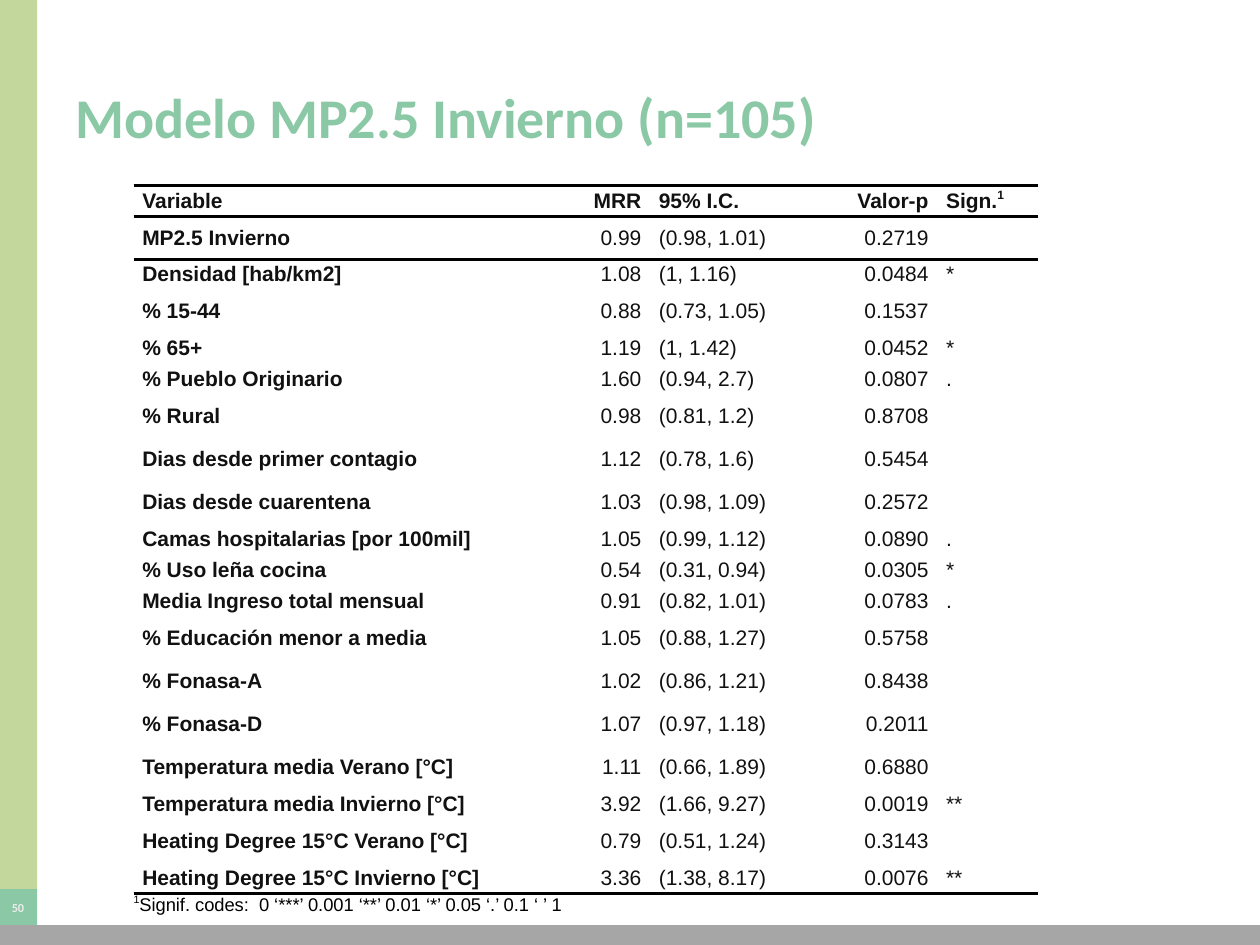
from pptx import Presentation
from pptx.dml.color import RGBColor
from pptx.enum.shapes import MSO_SHAPE
from pptx.enum.text import MSO_ANCHOR, PP_ALIGN
from pptx.oxml import parse_xml
from pptx.oxml.ns import nsdecls
from pptx.util import Inches, Pt

RECT = MSO_SHAPE.RECTANGLE
MID = MSO_ANCHOR.MIDDLE
LEFT, RIGHT, MAIN = PP_ALIGN.LEFT, PP_ALIGN.RIGHT, PP_ALIGN.CENTER
INK = {"lime": "C3D69B", "mint": "8BC8A6", "gray": "A6A6A6",
       "pale": "ECECEC", "text": "111111", "line": "000000"}

deck = Presentation()
deck.slide_width, deck.slide_height = Inches(10), Inches(7.5)
# One percent of the slide's width and height
W, H = deck.slide_width / 100, deck.slide_height / 100
slide = deck.slides.add_slide(deck.slide_layouts[6])


def write(para, text, size, ink, bold=False, face="Arial", lift=0):
    run = para.add_run()
    run.text = text
    font = run.font
    font.size, font.bold, font.name = Pt(size), bold, face
    font.color.rgb = RGBColor.from_string(INK[ink])
    if lift:
        font._element.set("baseline", str(lift * 1000))


def rule(cell, side):
    # Side is T or B; edges stand before the fill in the cell's properties
    edge = parse_xml(
        f'<a:ln{side} {nsdecls("a")} w="{Pt(2)}"><a:solidFill>'
        f'<a:srgbClr val="{INK["line"]}"/></a:solidFill></a:ln{side}>')
    fill = cell._tc.tcPr.find(".//{*}noFill")
    fill.addprevious(edge)


# Side bar, page number box and foot bar
for ink, x, y, wide, high in (("lime", 0, 0, 2.95, 94.1),
                              ("mint", -0.1, 94.1, 3.05, 3.9),
                              ("gray", -0.1, 97.9, 100.3, 2.1)):
    bar = slide.shapes.add_shape(RECT, int(x * W), int(y * H),
                                 int(wide * W), int(high * H))
    bar.shadow.inherit = False
    bar.fill.solid()
    bar.fill.fore_color.rgb = RGBColor.from_string(INK[ink])
    bar.line.fill.background()
    if ink == "mint":
        frame = bar.text_frame
        frame.margin_left = frame.margin_right = 0
        frame.vertical_anchor = MID
        frame.paragraphs[0].alignment = MAIN
        write(frame.paragraphs[0], "50", 7, "pale", True, "Calibri")

# Title
box = slide.shapes.add_textbox(int(5 * W), int(4 * H), int(90 * W), int(16.67 * H))
box.text_frame.word_wrap = True
box.text_frame.vertical_anchor = MID
write(box.text_frame.paragraphs[0], "Modelo MP2.5 Invierno (n=105)",
      32, "mint", True, "Calibri")

# Model results
rows = [
    ("Variable", "MRR", "95% I.C.", "Valor-p", "Sign."),
    ("MP2.5 Invierno", "0.99", "(0.98, 1.01)", "0.2719", ""),
    ("Densidad [hab/km2]", "1.08", "(1, 1.16)", "0.0484", "*"),
    ("% 15-44", "0.88", "(0.73, 1.05)", "0.1537", ""),
    ("% 65+", "1.19", "(1, 1.42)", "0.0452", "*"),
    ("% Pueblo Originario", "1.60", "(0.94, 2.7)", "0.0807", "."),
    ("% Rural", "0.98", "(0.81, 1.2)", "0.8708", ""),
    ("Dias desde primer contagio", "1.12", "(0.78, 1.6)", "0.5454", ""),
    ("Dias desde cuarentena", "1.03", "(0.98, 1.09)", "0.2572", ""),
    ("Camas hospitalarias [por 100mil]", "1.05", "(0.99, 1.12)", "0.0890", "."),
    ("% Uso leña cocina", "0.54", "(0.31, 0.94)", "0.0305", "*"),
    ("Media Ingreso total mensual", "0.91", "(0.82, 1.01)", "0.0783", "."),
    ("% Educación menor a media", "1.05", "(0.88, 1.27)", "0.5758", ""),
    ("% Fonasa-A", "1.02", "(0.86, 1.21)", "0.8438", ""),
    ("% Fonasa-D", "1.07", "(0.97, 1.18)", "0.2011", ""),
    ("Temperatura media Verano [°C]", "1.11", "(0.66, 1.89)", "0.6880", ""),
    ("Temperatura media Invierno [°C]", "3.92", "(1.66, 9.27)", "0.0019", "**"),
    ("Heating Degree 15°C Verano [°C]", "0.79", "(0.51, 1.24)", "0.3143", ""),
    ("Heating Degree 15°C Invierno [°C]", "3.36", "(1.38, 8.17)", "0.0076", "**"),
]
cols = (33.3, 7.7, 12.9, 9.9, 8)
sides = (LEFT, RIGHT, LEFT, RIGHT, LEFT)
last = len(rows)
# Rows without a mark are taller
highs = [3.28 if row[-1] else 4.55 for row in rows] + [2.2]
grid = slide.shapes.add_table(last + 1, len(cols), int(10.6 * W), int(19.6 * H),
                              int(sum(cols) * W), int(sum(highs) * H)).table
grid.first_row = grid.horz_banding = False
grid._tbl.tblPr[0].text = "{2D5ABB26-0587-4C30-8999-92F81FD0307C}"
for col, wide in zip(grid.columns, cols):
    col.width = int(wide * W)
for line, high in zip(grid.rows, highs):
    line.height = int(high * H)
for cell in grid.iter_cells():
    cell.margin_left = cell.margin_right = cell.margin_top = cell.margin_bottom = 0
    cell.vertical_anchor = MID
    cell.fill.background()

for r, row in enumerate(rows):
    for c, text in enumerate(row):
        if not text:
            continue
        para = grid.cell(r, c).text_frame.paragraphs[0]
        para.alignment = sides[c]
        para.space_before = para.space_after = Pt(2)
        props = para._p.get_or_add_pPr()
        props.set("marL", str(Pt(5)))
        props.set("marR", str(Pt(5)))
        write(para, text, 12, "text", r == 0 or c == 0)
write(grid.cell(0, 4).text_frame.paragraphs[0], "1", 12, "text", True, lift=40)

# Rules around the head and under the body
for c in range(len(cols)):
    for r, side in ((0, "T"), (0, "B"), (1, "T"), (last - 1, "B"), (last, "T")):
        rule(grid.cell(r, c), side)

# Footnote row
foot = grid.cell(last, 0)
foot.merge(grid.cell(last, len(cols) - 1))
para = foot.text_frame.paragraphs[0]
write(para, "1", 10.5, "line", lift=40)
write(para, "Signif. codes:  0 ‘***’ 0.001 ‘**’ 0.01 ‘*’ 0.05 ‘.’ 0.1 ‘ ’ 1",
      10.5, "line")

deck.save("out.pptx")
